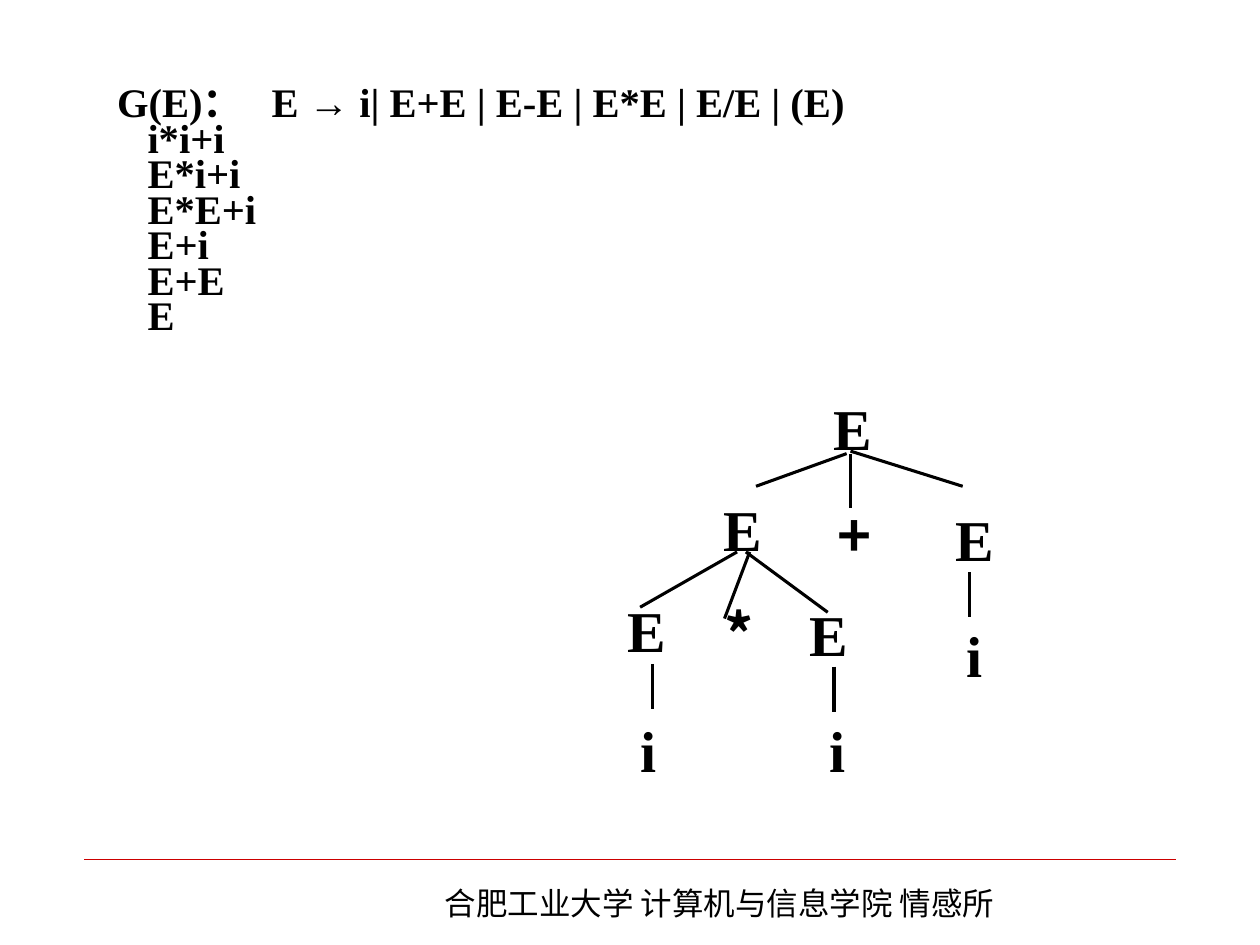
from dataclasses import dataclass

import pptx
import pptx.dml.color
import pptx.enum.shapes
import pptx.enum.text
import pptx.oxml
import pptx.oxml.ns
import pptx.util

Pt = pptx.util.Pt


@dataclass(frozen=True)
class Theme:
    serif: str = "Times New Roman"
    sans: str = "Arial"
    chinese: str = "Noto Sans CJK SC"
    ink: str = "000000"
    rule: str = "CC0000"
    grammar_size: float = 23.2
    node_size: float = 33
    footer_size: float = 18
    branch_width: float = 1.75
    rule_width: float = 0.25


@dataclass(frozen=True)
class Node:
    label: str
    left: float
    top: float
    width: float
    font: str


@dataclass(frozen=True)
class Branch:
    start_x: float
    start_y: float
    end_x: float
    end_y: float


THEME = Theme()
NODE_HEIGHT = 39.6


def symbol(left: float, top: float) -> Node:
    return Node("E", left, top, 22.3, THEME.serif)


def leaf(left: float, top: float) -> Node:
    return Node("i", left, top, 9.4, THEME.serif)


def operator(label: str, left: float, top: float, width: float) -> Node:
    return Node(label, left, top, width, THEME.chinese)


NODES = [
    symbol(475.9, 224.6),
    symbol(413.3, 282.2), operator("+", 478.1, 285.8, 20.2), symbol(545.8, 288),
    symbol(358.6, 339.8), operator("*", 413.3, 342, 18), symbol(462.2, 342),
    leaf(365.8, 408.2), leaf(473.8, 408.2), leaf(552.2, 354.2),
]

BRANCHES = [
    # Root to E + E
    Branch(483.8, 259.2, 432, 277.9),
    Branch(486, 259.2, 486, 290.2),
    Branch(486, 257.8, 550.1, 277.9),
    # Left E to E * E
    Branch(421.2, 315.4, 365.8, 347),
    Branch(428.4, 315.4, 414, 353.5),
    Branch(426.2, 315.4, 473, 349.9),
    # E to i
    Branch(553.9, 326.9, 553.9, 352.8),
    Branch(373, 379.4, 373, 405.4),
    Branch(476.6, 380.9, 476.6, 406.8),
]

REDUCTIONS = ["i*i+i", "E*i+i", "E*E+i", "E+i", "E+E", "E"]


def add_text_frame(slide, left: float, top: float, width: float, height: float,
                   wrap: bool = True, inset: bool = True):
    shape = slide.shapes.add_textbox(Pt(left), Pt(top), Pt(width), Pt(height))
    frame = shape.text_frame
    frame.word_wrap = wrap
    if not inset:
        frame.margin_left = frame.margin_right = Pt(0)
        frame.margin_top = frame.margin_bottom = Pt(0)
    return frame


def add_run(paragraph, text: str, size: float, font: str, bold: bool = True,
            spacing: float = 0) -> None:
    run = paragraph.add_run()
    run.text = text
    run.font.size = Pt(size)
    run.font.bold = bold
    run.font.name = font
    run.font.color.rgb = pptx.dml.color.RGBColor.from_string(THEME.ink)
    properties = run.font._element
    east_asian = pptx.oxml.parse_xml(
        f'<a:ea {pptx.oxml.ns.nsdecls("a")} typeface="{THEME.chinese}"/>')
    properties.find(pptx.oxml.ns.qn("a:latin")).addnext(east_asian)
    if spacing:
        properties.set("spc", str(round(spacing * 100)))


def add_line(slide, branch: Branch, color: str, width: float) -> None:
    connector = slide.shapes.add_connector(
        pptx.enum.shapes.MSO_CONNECTOR.STRAIGHT,
        Pt(branch.start_x), Pt(branch.start_y), Pt(branch.end_x), Pt(branch.end_y))
    connector.line.color.rgb = pptx.dml.color.RGBColor.from_string(color)
    connector.line.width = Pt(width)
    connector._element.spPr.append(
        pptx.oxml.parse_xml(f'<a:effectLst {pptx.oxml.ns.nsdecls("a")}/>'))


def add_node(slide, node: Node) -> None:
    frame = add_text_frame(slide, node.left, node.top, node.width, NODE_HEIGHT,
                           wrap=False, inset=False)
    paragraph = frame.paragraphs[0]
    paragraph.alignment = pptx.enum.text.PP_ALIGN.CENTER
    add_run(paragraph, node.label, THEME.node_size, node.font)


def add_footer(slide) -> None:
    add_line(slide, Branch(48.2, 491, 671.8, 491), THEME.rule, THEME.rule_width)
    frame = add_text_frame(slide, 247, 501.8, 345.6, 28.8)
    add_run(frame.paragraphs[0], "合肥工业大学 计算机与信息学院 情感所",
            THEME.footer_size, THEME.chinese, bold=False)


def add_grammar(slide) -> None:
    frame = add_text_frame(slide, 59.8, 48.2, 606.2, 149.8)
    rule = frame.paragraphs[0]
    rule.line_spacing = 0.7
    size = THEME.grammar_size
    add_run(rule, "G(E)", size, THEME.serif)
    add_run(rule, "：", size, THEME.serif, spacing=11)
    add_run(rule, " E ", size, THEME.serif)
    add_run(rule, "→", size, THEME.sans)
    add_run(rule, " i| E+E | E-E | E*E | E/E | (E)", size, THEME.serif)
    for reduction in REDUCTIONS:
        paragraph = frame.add_paragraph()
        paragraph.line_spacing = 0.73
        paragraph._p.get_or_add_pPr().set("marL", str(Pt(17.4)))
        add_run(paragraph, reduction, size, THEME.serif)


def main() -> None:
    presentation = pptx.Presentation()
    presentation.slide_width, presentation.slide_height = Pt(720), Pt(540)
    slide = presentation.slides.add_slide(presentation.slide_layouts[6])

    add_footer(slide)
    add_grammar(slide)

    # Parse tree
    for branch in BRANCHES:
        add_line(slide, branch, THEME.ink, THEME.branch_width)
    for node in NODES:
        add_node(slide, node)

    presentation.save("out.pptx")


if __name__ == "__main__":
    main()
